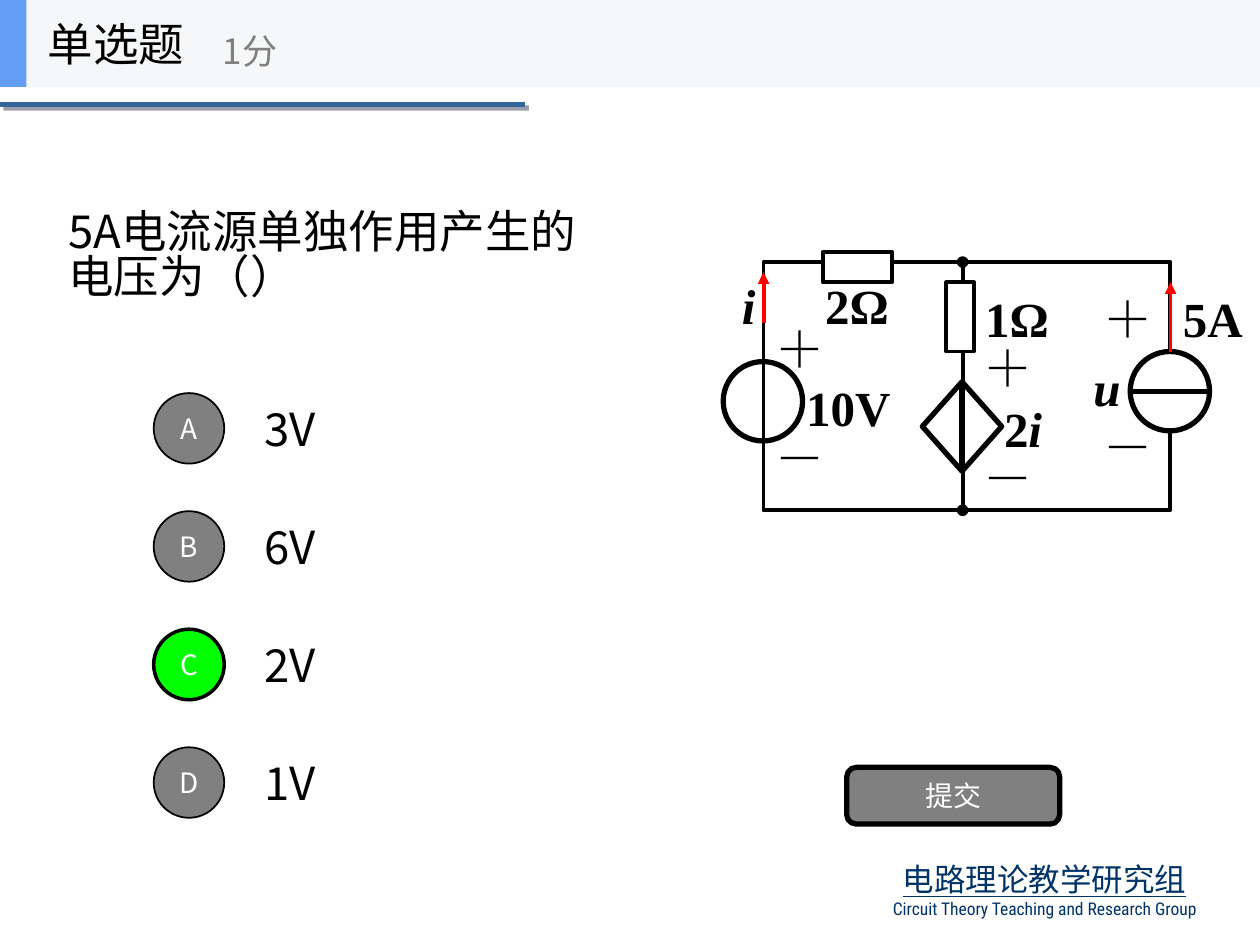
from dataclasses import dataclass

from lxml import etree
from pptx import Presentation
from pptx.dml.color import RGBColor
from pptx.enum.shapes import MSO_CONNECTOR, MSO_SHAPE as Shape
from pptx.enum.text import MSO_ANCHOR as Anchor, PP_ALIGN as Align
from pptx.oxml.ns import qn
from pptx.util import Inches, Pt


@dataclass(frozen=True)
class Theme:
    black: str = "000000"
    white: str = "FFFFFF"
    grey: str = "808080"
    correct: str = "00FF00"
    current: str = "FF0000"
    navy: str = "003366"
    rule: str = "336699"
    shadow: str = "3E3E5C"
    header: str = "F6F7F8"
    accent: str = "639EF4"
    sans: str = "Noto Sans CJK SC"
    condensed: str = "Roboto Condensed"
    serif: str = "Times New Roman"
    body: int = 26
    circuit: int = 28
    score: int = 20
    group: int = 18
    button: int = 16
    caption: int = 10
    wire: float = 2.25
    heavy: float = 3
    tight: float = 0.83


class SlideBuilder:
    def __init__(self, slide, theme):
        self.slide = slide
        self.theme = theme

    def style(self, run, size, color, face=None, bold=False, italic=False):
        face = face or self.theme.sans
        font = run.font
        font.name, font.size = face, Pt(size)
        font.bold, font.italic = bold, italic
        font.color.rgb = RGBColor.from_string(color)
        east_asian = etree.SubElement(run._r.get_or_add_rPr(), qn("a:ea"))
        east_asian.set("typeface", face)

    def title(self, box, text):
        heading = self.slide.shapes.title
        heading.left, heading.top, heading.width, heading.height = map(Inches, box)
        frame = heading.text_frame
        frame.text = text
        frame.word_wrap = True
        frame.vertical_anchor = Anchor.MIDDLE
        line = frame.paragraphs[0]
        line.alignment = Align.LEFT
        line.line_spacing = self.theme.tight
        self.style(line.runs[0], self.theme.body, self.theme.black)

    def text(self, box, text, size, color, anchor=Anchor.MIDDLE):
        frame = self.slide.shapes.add_textbox(*map(Inches, box)).text_frame
        frame.text = text
        frame.word_wrap = True
        frame.vertical_anchor = anchor
        self.style(frame.paragraphs[0].runs[0], size, color)
        return frame

    def circuit_label(self, box, *parts):
        """Bold serif label; one-letter variables are italic."""
        frame = self.slide.shapes.add_textbox(*map(Inches, box)).text_frame
        frame.word_wrap = True
        for part in parts:
            run = frame.paragraphs[0].add_run()
            run.text = part
            self.style(run, self.theme.circuit, self.theme.black,
                       self.theme.serif, bold=True, italic=part in ("i", "u"))

    def shape(self, kind, box, fill=None, width=None, text=None):
        part = self.slide.shapes.add_shape(kind, *map(Inches, box))
        part.shadow.inherit = False
        if fill:
            part.fill.solid()
            part.fill.fore_color.rgb = RGBColor.from_string(fill)
        else:
            part.fill.background()
        if width:
            part.line.color.rgb = RGBColor.from_string(self.theme.black)
            part.line.width = Pt(width)
        else:
            part.line.fill.background()
        if text:
            frame = part.text_frame
            frame.text = text
            frame.vertical_anchor = Anchor.MIDDLE
            frame.margin_left = frame.margin_right = 0
            frame.paragraphs[0].alignment = Align.CENTER
            self.style(frame.paragraphs[0].runs[0], self.theme.button, self.theme.white)
        return part

    def line(self, start, end, color, width, head=None, tail=None, shadow=False):
        link = self.slide.shapes.add_connector(
            MSO_CONNECTOR.STRAIGHT, *map(Inches, (*start, *end)))
        link.line.color.rgb = RGBColor.from_string(color)
        link.line.width = Pt(width)
        outline = link.line._get_or_add_ln()
        for tag, tip in (("a:headEnd", head), ("a:tailEnd", tail)):
            if tip:
                etree.SubElement(outline, qn(tag)).set("type", tip)
        effects = etree.SubElement(link._element.spPr, qn("a:effectLst"))
        if shadow:
            cast = etree.SubElement(effects, qn("a:outerShdw"), blurRad="0",
                                    dist=str(Pt(2.8)), dir="2700000", algn="ctr",
                                    rotWithShape="0")
            tint = etree.SubElement(cast, qn("a:srgbClr"), val=self.theme.shadow)
            etree.SubElement(tint, qn("a:alpha"), val="50000")


def add_frame(page):
    theme = page.theme
    # Research group signature
    signature = page.text((6.75, 6.83, 3.08, 0.57), "电路理论教学研究组",
                          theme.group, theme.navy, Anchor.TOP)
    signature.paragraphs[0].runs[0].font.underline = True
    signature.paragraphs[0].line_spacing = theme.tight
    english = signature.add_paragraph()
    english.text = "Circuit Theory Teaching and Research Group"
    page.style(english.runs[0], theme.caption, theme.navy, theme.condensed)
    for paragraph in signature.paragraphs:
        paragraph.alignment = Align.CENTER
    # Header band
    page.line((0, 0.83), (4.17, 0.83), theme.rule, theme.heavy, shadow=True)
    page.shape(Shape.RECTANGLE, (0, 0, 10, 0.69), theme.header)
    page.shape(Shape.RECTANGLE, (0, 0, 0.21, 0.69), theme.accent)
    page.text((0.28, 0, 2.08, 0.69), "单选题", theme.body, theme.black)
    page.text((1.67, 0.12, 2.5, 0.56), "1分", theme.score, theme.grey)


def add_answers(page):
    theme = page.theme
    correct = "C"
    for row, (letter, voltage) in enumerate(zip("ABCD", ("3V", "6V", "2V", "1V"))):
        top = 3.05 + 0.937 * row
        chosen = letter == correct
        page.text((2, top, 0.83 if letter == "D" else 7, 0.7), voltage,
                  theme.body, theme.black)
        page.shape(Shape.OVAL, (1.22, top + 0.07, 0.56, 0.56),
                   theme.correct if chosen else theme.grey, 2 if chosen else 1, letter)
    page.shape(Shape.ROUNDED_RECTANGLE, (6.72, 6.09, 1.69, 0.45),
               theme.grey, theme.heavy, "提交")


def add_circuit(page):
    theme = page.theme
    left, middle, right, top, bottom = 6.06, 7.64, 9.29, 2.08, 4.05

    # Voltage source and outer loop
    page.shape(Shape.OVAL, (5.74, 2.87, 0.63, 0.63), width=theme.heavy)
    page.shape(Shape.RECTANGLE, (left, top, right - left, bottom - top), width=theme.wire)

    # Middle branch and reference current
    page.line((middle, top), (middle, bottom), theme.black, theme.wire, "oval", "oval")
    page.line((left, 2.16), (left, 2.56), theme.current, theme.wire, head="triangle")

    # Resistors
    for box in ((7.51, 2.24, 0.22, 0.55), (6.53, 2, 0.55, 0.24)):
        page.shape(Shape.RECTANGLE, box, theme.white, theme.wire)

    # Dependent voltage source
    dependent = page.shape(Shape.FLOWCHART_SORT, (7.28, 3.07, 0.71, 0.63),
                           theme.white, theme.heavy)
    dependent.rotation = 90

    # Current source
    page.shape(Shape.OVAL, (8.97, 2.79, 0.63, 0.63), theme.white, theme.heavy)
    page.line((8.97, 3.11), (9.6, 3.11), theme.black, theme.heavy)
    page.line((right, 2.79), (right, 2.24), theme.current, theme.wire, tail="triangle")

    # Polarity signs
    for x, plus_top, minus_top in ((6.06, 2.48, 3.34), (7.71, 2.63, 3.5), (8.66, 2.24, 3.26)):
        page.circuit_label((x, plus_top, 0.55, 0.57), "＋")
        page.circuit_label((x, minus_top, 0.65, 0.57), "－")

    # Values and variables
    for x, y, width, parts in (
        (8.58, 2.79, 0.55, ("u",)),
        (6.3, 2.95, 0.94, ("10V",)),
        (7.87, 3.11, 0.59, ("2", "i")),
        (7.72, 2.24, 1.1, ("1Ω",)),
        (5.79, 2.14, 0.43, ("i",)),
        (6.45, 2.14, 0.86, ("2Ω",)),
        (9.29, 2.24, 0.71, ("5A",)),
    ):
        page.circuit_label((x, y, width, 0.57), *parts)


def main():
    deck = Presentation()
    deck.slide_width, deck.slide_height = Inches(10), Inches(7.5)
    title_only = deck.slide_layouts[5]
    page = SlideBuilder(deck.slides.add_slide(title_only), Theme())
    page.title((0.44, 1.24, 4.25, 1.61), "5A电流源单独作用产生的电压为（）")
    add_frame(page)
    add_answers(page)
    add_circuit(page)
    deck.save("out.pptx")


if __name__ == "__main__":
    main()
